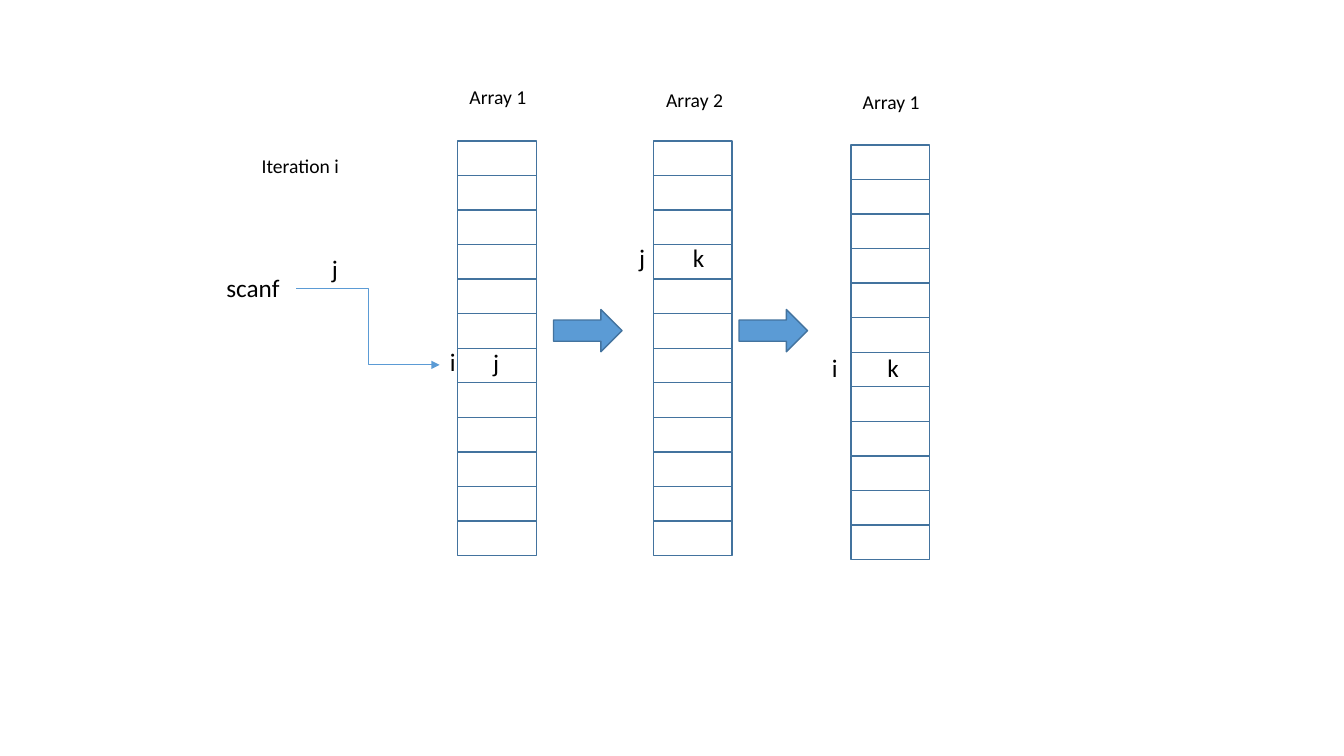
from lxml.etree import SubElement
from pptx import Presentation
from pptx.dml.color import RGBColor
from pptx.enum.shapes import MSO_CONNECTOR as Connector, MSO_SHAPE as Shape
from pptx.enum.text import MSO_AUTO_SIZE as AutoSize, PP_ALIGN as Align
from pptx.oxml.ns import qn
from pptx.util import Inches, Pt

COLORS = {"text": "000000", "outline": "43739E", "arrow": "5B9BD5"}
CELL_COUNT = 12
COLUMN_WIDTH, COLUMN_HEIGHT = 0.78, 4.11


class Diagram:
    """Holds the style and the slide being drawn."""

    font_name = "Calibri"

    def __init__(self, page):
        """Keep the slide and its shapes."""
        self.page = page
        self.shapes = page.shapes

    def color(self, name):
        """Return a named colour."""
        return RGBColor.from_string(COLORS[name])

    def shape(self, kind, left, top, width, height, fill=None):
        """Draw an outlined preset shape, filled if a colour is named."""
        box = self.shapes.add_shape(
            kind, Inches(left), Inches(top), Inches(width), Inches(height))
        box.shadow.inherit = False
        if fill:
            box.fill.solid()
            box.fill.fore_color.rgb = self.color(fill)
        else:
            box.fill.background()
        box.line.color.rgb = self.color("outline")
        box.line.width = Pt(1)

    def array(self, left, top):
        """Draw an array as a column of equal cells."""
        cell_height = COLUMN_HEIGHT / CELL_COUNT
        for index in range(CELL_COUNT):
            self.shape(Shape.RECTANGLE, left, top + index * cell_height,
                       COLUMN_WIDTH, cell_height)

    def label(self, text, left, top, width, height=0.4, size=18):
        """Write a right-aligned label."""
        box = self.shapes.add_textbox(
            Inches(left), Inches(top), Inches(width), Inches(height))
        frame = box.text_frame
        frame.word_wrap = True
        frame.auto_size = AutoSize.SHAPE_TO_FIT_TEXT
        para = frame.paragraphs[0]
        para.text = text
        para.alignment = Align.RIGHT
        para.font.name = self.font_name
        para.font.size = Pt(size)
        para.font.color.rgb = self.color("text")

    def elbow_arrow(self, start, end):
        """Draw a bent connector with an arrowhead at its end."""
        link = self.shapes.add_connector(
            Connector.ELBOW, *(Inches(value) for value in (*start, *end)))
        link.line.color.rgb = self.color("arrow")
        link.line.width = Pt(0.5)
        SubElement(link.line._get_or_add_ln(), qn("a:tailEnd"), type="triangle")
        SubElement(link._element.spPr, qn("a:effectLst"))


def main():
    """Build the slide and save it."""
    deck = Presentation()
    deck.slide_width, deck.slide_height = Inches(13.33), Inches(7.5)
    diagram = Diagram(deck.slides.add_slide(deck.slide_layouts[6]))

    for left, top in ((4.54, 1.4), (6.48, 1.4), (8.44, 1.44)):
        diagram.array(left, top)

    for text, left, top in (("Iteration i", 2.14, 1.48), ("Array 1", 4, 0.79),
                            ("Array 2", 5.95, 0.82), ("Array 1", 7.9, 0.84)):
        diagram.label(text, left, top, 1.32, 0.34, size=14)

    diagram.label("scanf", 1.12, 2.65, 1.75, 0.42)
    diagram.elbow_arrow((2.94, 2.86), (4.36, 3.62))

    for text, left, top, width in (
            ("i", 4.42, 3.39, 0.14), ("j", 2.97, 2.46, 0.48),
            ("j", 4.68, 3.4, 0.37), ("j", 6.24, 2.36, 0.22),
            ("k", 6.78, 2.36, 0.19), ("i", 8.21, 3.45, 0.14),
            ("k", 8.76, 3.45, 0.14)):
        diagram.label(text, left, top, width)

    for left in (5.49, 7.33):
        diagram.shape(Shape.RIGHT_ARROW, left, 3.07, 0.68, 0.42, fill="arrow")

    deck.save("out.pptx")


main()
